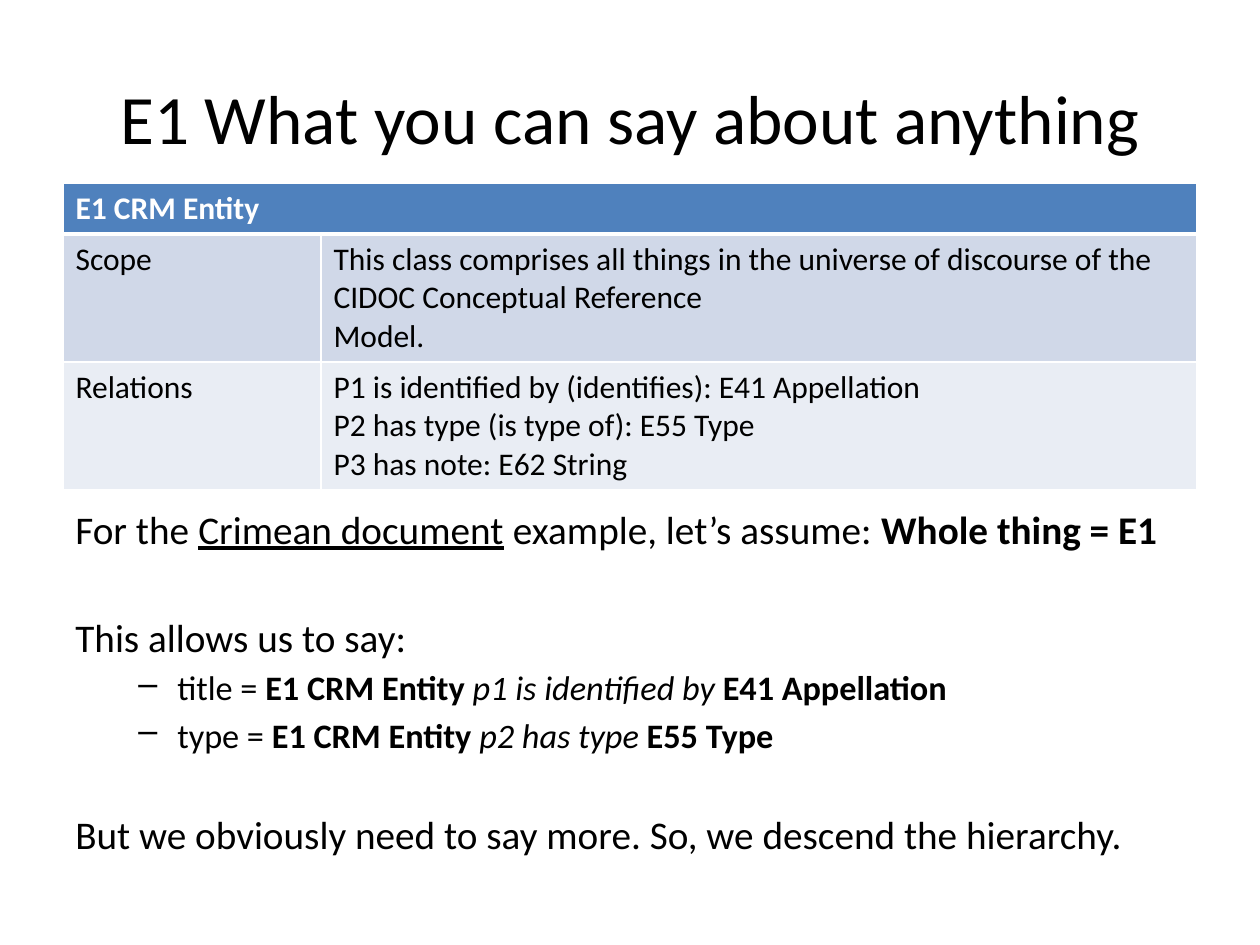
from dataclasses import dataclass

from lxml import etree
from pptx import Presentation
from pptx.dml.color import RGBColor
from pptx.enum.text import MSO_ANCHOR, PP_ALIGN
from pptx.oxml.ns import qn
from pptx.util import Emu, Pt

MIDDLE, TOP = MSO_ANCHOR.MIDDLE, MSO_ANCHOR.TOP
CENTER, LEFT = PP_ALIGN.CENTER, PP_ALIGN.LEFT
TITLE_ONLY = 5
PX_PER_INCH = 126

BOLD, ITALIC, UNDERLINE = {"bold": True}, {"italic": True}, {"underline": True}


def px(length):
    return Emu(round(length * 914400 / PX_PER_INCH))


@dataclass(frozen=True)
class Theme:
    font: str = "Calibri"
    ink: str = "000000"
    paper: str = "FFFFFF"
    header: str = "4F81BD"
    bands: tuple = ("D0D8E8", "E9EDF4")
    title_size: float = 39.6
    table_size: float = 18
    body_size: float = 22.4
    sub_size: float = 19.6
    thin: float = 1
    thick: float = 3


class SlideBuilder:
    def __init__(self, deck, theme):
        self.theme = theme
        self.page = deck.slides.add_slide(deck.slide_layouts[TITLE_ONLY])

    def place(self, shape, left, top, width, height):
        values = {"left": left, "top": top, "width": width, "height": height}
        for name, value in values.items():
            setattr(shape, name, px(value))

    def add_spans(self, para, spans, size, color=None):
        for text, style in spans:
            span = para.add_run()
            span.text = text
            span.font.color.rgb = RGBColor.from_string(color or self.theme.ink)
            values = {"name": self.theme.font, "size": Pt(size), "bold": False, **style}
            for name, value in values.items():
                setattr(span.font, name, value)

    def title(self, text, *place):
        box = self.page.shapes.title
        self.place(box, *place)
        box.text_frame.vertical_anchor = MIDDLE
        para = box.text_frame.paragraphs[0]
        para.alignment = CENTER
        self.add_spans(para, [(text, {})], self.theme.title_size)

    def borders(self, cell, widths):
        properties = cell._tc.get_or_add_tcPr()
        for index, (side, width) in enumerate(zip("LRTB", widths)):
            line = etree.Element(qn(f"a:ln{side}"), w=str(Pt(width)))
            fill = etree.SubElement(line, qn("a:solidFill"))
            etree.SubElement(fill, qn("a:srgbClr"), val=self.theme.paper)
            properties.insert(index, line)

    def table(self, rows, widths, heights, left, top):
        theme = self.theme
        frame = self.page.shapes.add_table(
            len(rows), len(widths), px(left), px(top), px(sum(widths)), px(sum(heights)))
        grid = frame.table
        for column, width in zip(grid.columns, widths):
            column.width = px(width)
        fills = (theme.header, *theme.bands)
        for r, (row, height) in enumerate(zip(rows, heights)):
            grid.rows[r].height = px(height)
            # The rule between the header and the first band is thick
            edges = (theme.thin, theme.thin,
                     theme.thick if r == 1 else theme.thin,
                     theme.thick if r == 0 else theme.thin)
            for c, lines in enumerate(row):
                cell = grid.cell(r, c)
                cell.fill.solid()
                cell.fill.fore_color.rgb = RGBColor.from_string(fills[r])
                self.borders(cell, edges)
                for i, line in enumerate(lines):
                    frame = cell.text_frame
                    para = frame.add_paragraph() if i else frame.paragraphs[0]
                    color, style = (theme.ink, {}) if r else (theme.paper, BOLD)
                    self.add_spans(para, [(line, style)], theme.table_size, color)
        grid.cell(0, 0).merge(grid.cell(0, len(widths) - 1))

    def bullet(self, para, mark, margin, indent):
        properties = para._p.get_or_add_pPr()
        properties.set("marL", str(px(margin)))
        properties.set("indent", str(px(indent)))
        etree.SubElement(properties, qn("a:buChar"), char=mark)

    def body(self, items, *place):
        box = self.page.shapes.add_textbox(*map(px, place))
        frame = box.text_frame
        frame.word_wrap = True
        frame.vertical_anchor = TOP
        for i, (is_sub, gap, spans) in enumerate(items):
            para = frame.add_paragraph() if i else frame.paragraphs[0]
            para.alignment = LEFT
            para.space_before = Pt(gap)
            if is_sub:
                self.bullet(para, "–", 102, -39)
            size = self.theme.sub_size if is_sub else self.theme.body_size
            self.add_spans(para, spans, size)


def main():
    deck = Presentation()
    deck.slide_width, deck.slide_height = px(1260), px(945)
    slide = SlideBuilder(deck, Theme())

    # Title
    slide.title("E1 What you can say about anything", 63, 38, 1134, 158)

    # Entity definition
    rows = [
        [["E1 CRM Entity"], []],
        [["Scope"],
         ["This class comprises all things in the universe of discourse of the "
          "CIDOC Conceptual Reference", "Model."]],
        [["Relations"],
         ["P1 is identified by (identifies): E41 Appellation",
          "P2 has type (is type of): E55 Type",
          "P3 has note: E62 String"]],
    ]
    slide.table(rows, widths=(258, 876), heights=(51, 128, 128), left=63, top=183)

    # Worked example: sub-level flag, gap above in points, text spans
    entity = ("E1 CRM Entity ", BOLD)
    items = [
        (False, 0, [("For the ", {}), ("Crimean document", UNDERLINE),
                    (" example, let’s assume: ", {}), ("Whole thing = E1", BOLD)]),
        (False, 35, [("This allows us to say:", {})]),
        (True, 3.5, [("title = ", {}), entity,
                     ("p1 is identified by ", ITALIC), ("E41 Appellation", BOLD)]),
        (True, 3.5, [("type = ", {}), entity,
                     ("p2 has type ", ITALIC), ("E55 Type", BOLD)]),
        (False, 31.5, [("But we obviously need to say more. "
                        "So, we descend the hierarchy.", {})]),
    ]
    slide.body(items, 63, 499, 1134, 421)

    deck.save("out.pptx")


if __name__ == "__main__":
    main()
